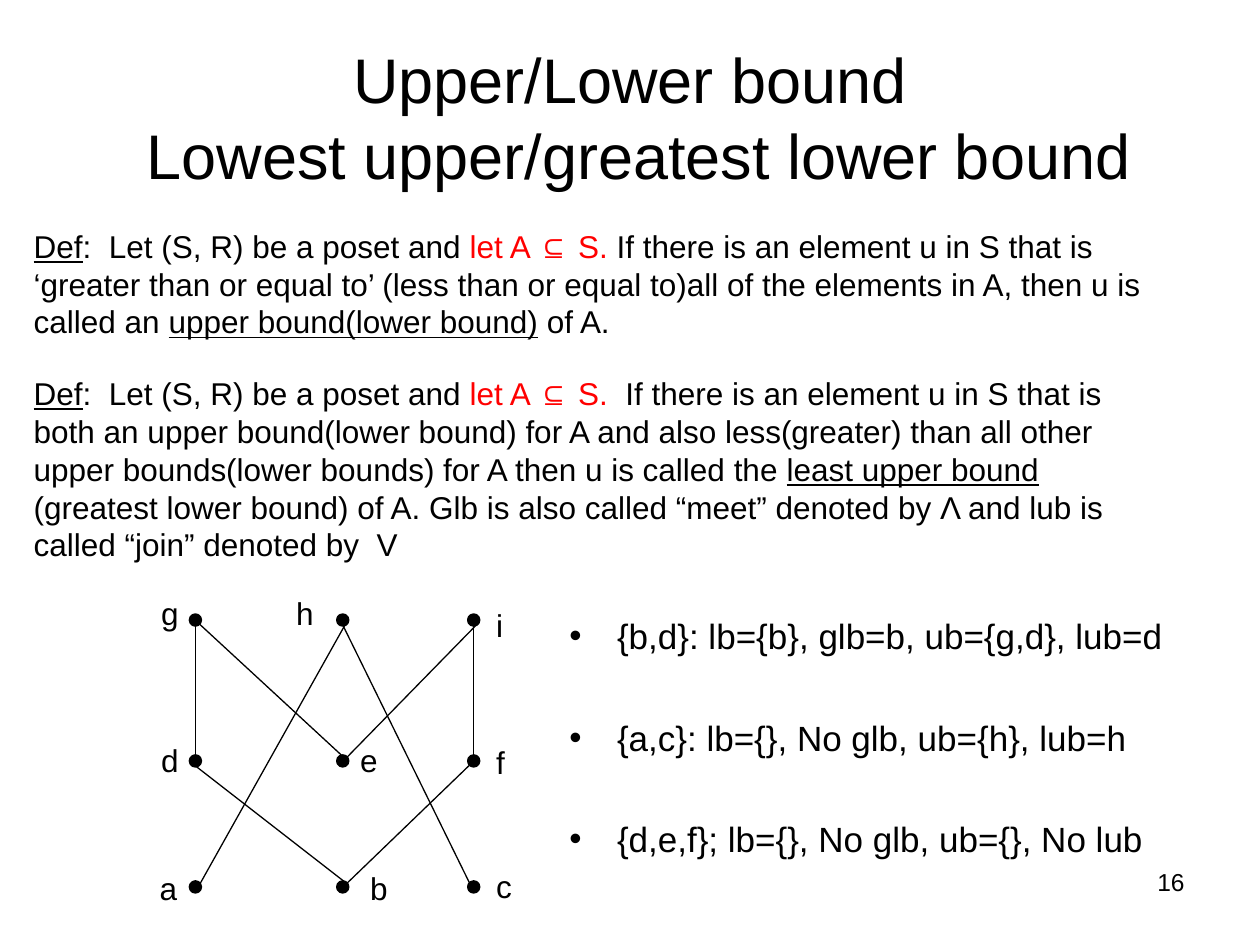
import pptx
import pptx.util
import pptx.dml.color
import pptx.enum.shapes
import pptx.enum.text
import lxml.etree

Cm = pptx.util.Cm
Pt = pptx.util.Pt
RGB = pptx.dml.color.RGBColor
Align = pptx.enum.text.PP_ALIGN
BLACK = RGB(0, 0, 0)
RED = RGB(255, 0, 0)
NS = "{http://schemas.openxmlformats.org/drawingml/2006/main}"

deck = pptx.Presentation()
deck.slide_width, deck.slide_height = Cm(25.4), Cm(19.05)
slide = deck.slides.add_slide(deck.slide_layouts[6])
shapes = slide.shapes


def add_run(para, text, size, color=BLACK, under=False):
    run = para.add_run()
    run.text = text
    run.font.size = Pt(size)
    run.font.name = "Arial"
    run.font.color.rgb = color
    if under:
        run.font.underline = True


def add_box(left, top, width, height, wrap=True):
    frame = shapes.add_textbox(Cm(left), Cm(top), Cm(width), Cm(height)).text_frame
    frame.word_wrap = wrap
    return frame


title = add_box(1.27, 0.76, 22.86, 3.18)
title.vertical_anchor = pptx.enum.text.MSO_ANCHOR.MIDDLE
para = title.paragraphs[0]
para.alignment = Align.CENTER
add_run(para, "Upper/Lower bound", 36)
para.add_line_break()
add_run(para, " Lowest upper/greatest lower bound", 36)

para = add_box(18.21, 17.35, 5.92, 1.32).paragraphs[0]
para.alignment = Align.RIGHT
add_run(para, "16", 14)

defs = [
    ((0.43, 4.45, 23.29, 2.54), [
        (" If there is an element u in S that is ‘greater than or equal to’ (less than or equal to)all of the elements in A, then u is called an ", False),
        ("upper bound(lower bound)", True),
        (" of A.", False)]),
    ((0.43, 7.42, 22.23, 5.23), [
        ("  If there is an element u in S that is both an upper bound(lower bound) for A and also less(greater) than all other upper bounds(lower bounds) for A then u is called the ", False),
        ("least upper bound", True),
        (" (greatest lower bound) of A. Glb is also called “meet” denoted by Λ and lub is called “join” denoted by  V", False)]),
]
for place, runs in defs:
    para = add_box(*place).paragraphs[0]
    add_run(para, "Def", 18, under=True)
    add_run(para, ":  Let (S, R) be a poset and ", 18)
    add_run(para, "let A ⊆ S.", 18, RED)
    for text, under in runs:
        add_run(para, text, 18, under=under)

for top in (12.4, 15.24, 17.78):
    for left in (3.84, 6.81, 9.45):
        dot = shapes.add_shape(pptx.enum.shapes.MSO_SHAPE.OVAL, Cm(left), Cm(top), Cm(0.2), Cm(0.2))
        dot.shadow.inherit = False
        dot.fill.solid()
        dot.fill.fore_color.rgb = BLACK
        dot.line.color.rgb = BLACK
        dot.line.width = Pt(2)

edges = [
    (9.47, 17.81, 6.91, 12.6),
    (3.94, 15.24, 3.94, 12.5),
    (3.94, 17.98, 7.01, 12.5),
    (6.99, 17.81, 3.94, 15.44),
    (6.99, 17.81, 9.47, 15.42),
    (6.99, 15.27, 9.63, 12.57),
    (7.01, 15.34, 4.01, 12.57),
    (9.55, 15.24, 9.55, 12.5),
]
for edge in edges:
    line = shapes.add_connector(pptx.enum.shapes.MSO_CONNECTOR.STRAIGHT, *map(Cm, edge))
    line.line.color.rgb = BLACK
    line.line.width = Pt(0.75)
    lxml.etree.SubElement(line._element.spPr, NS + "effectLst")

labels = [
    ("a", 2.97, 17.4), ("b", 7.21, 17.4), ("c", 9.75, 17.35),
    ("d", 3, 14.81), ("e", 7.01, 14.81), ("f", 9.75, 14.86),
    ("g", 3, 11.86), ("h", 5.72, 11.86), ("i", 9.75, 12.09),
]
for name, left, top in labels:
    width = 0.65 if name in "fi" else 0.86
    add_run(add_box(left, top, width, 1.02, False).paragraphs[0], name, 18)

facts = [
    "{b,d}: lb={b}, glb=b, ub={g,d}, lub=d",
    "{a,c}: lb={}, No glb, ub={h}, lub=h",
    "{d,e,f}; lb={}, No glb, ub={}, No lub",
]
frame = add_box(11.23, 12.27, 13.54, 1.27)
for i, fact in enumerate(facts):
    para = frame.add_paragraph() if i else frame.paragraphs[0]
    props = para._p.get_or_add_pPr()
    props.set("marL", str(Cm(0.96)))
    props.set("indent", str(Cm(-0.96)))
    if i:
        para.space_before = Pt(34)
    lxml.etree.SubElement(props, NS + "buFont", typeface="Arial")
    lxml.etree.SubElement(props, NS + "buChar", char="•")
    add_run(para, fact, 20)

deck.save("out.pptx")
